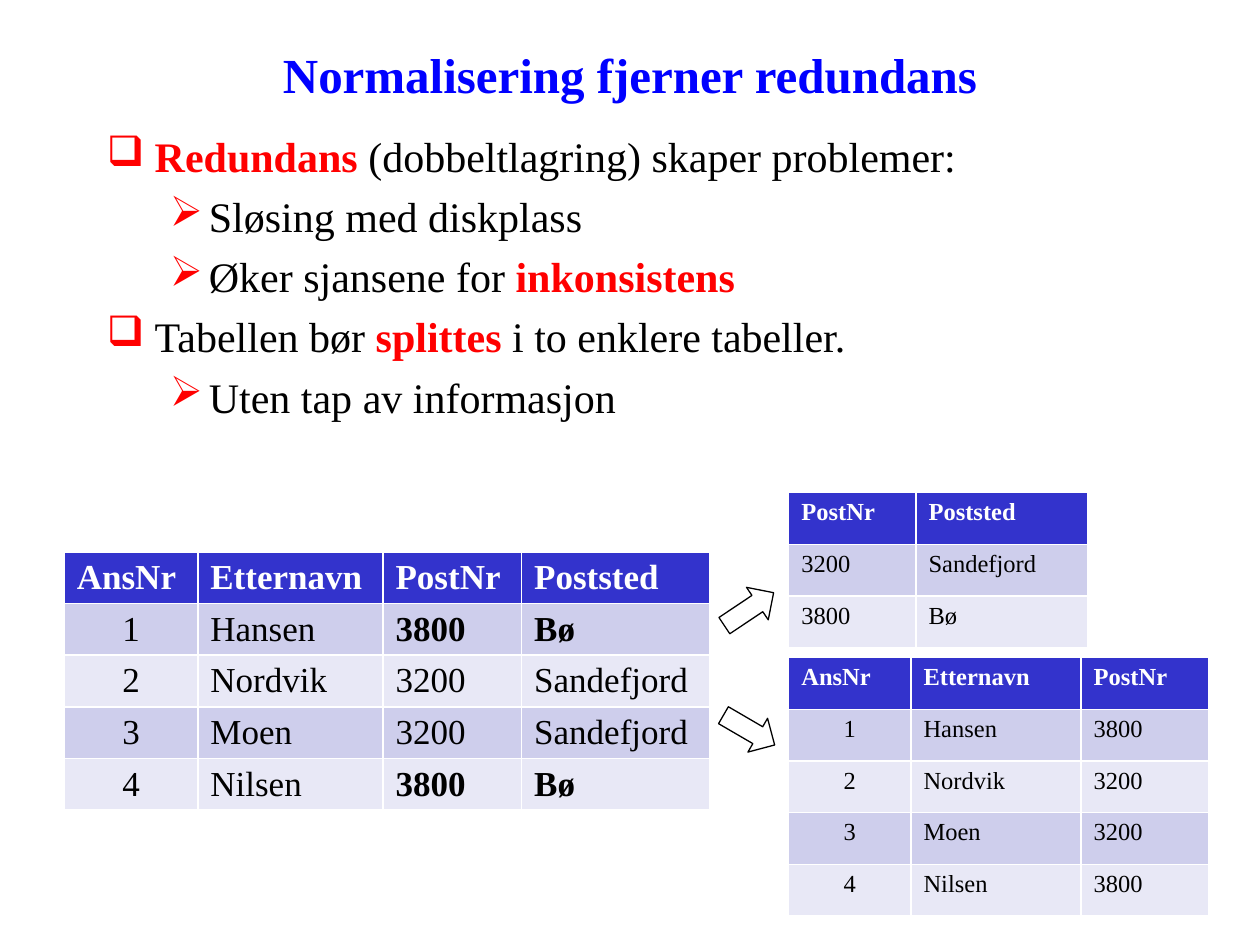
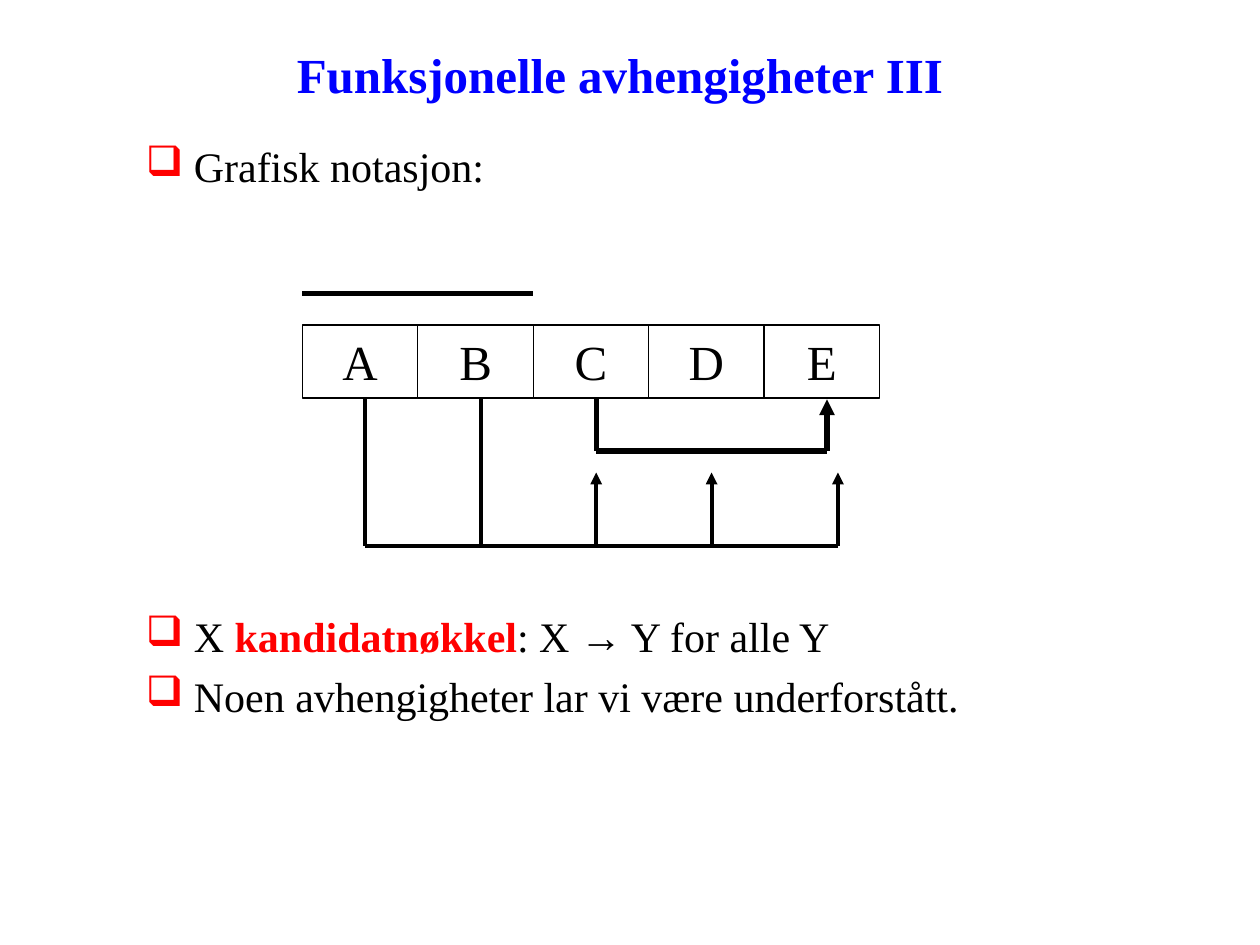
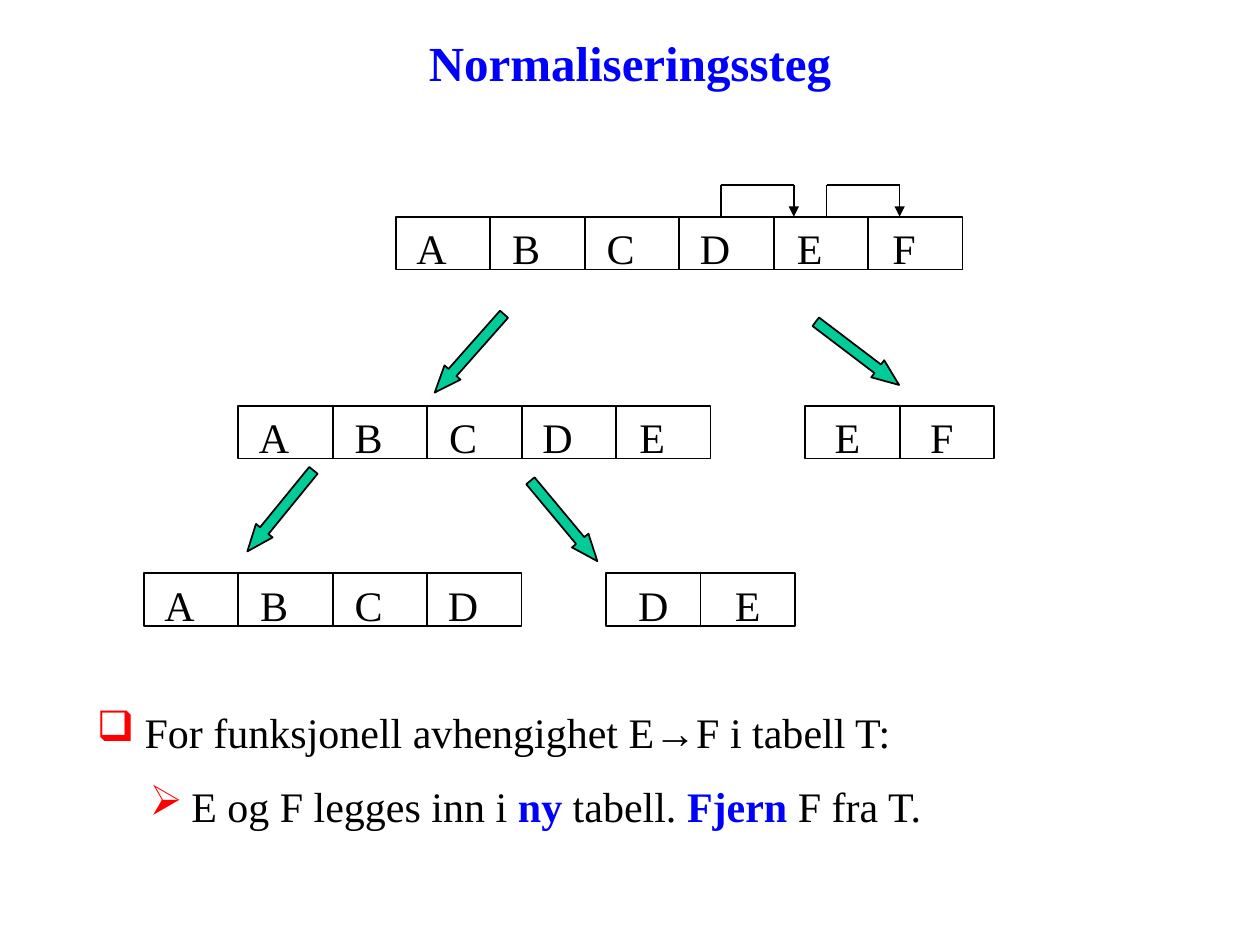
from lxml import etree
from pptx import Presentation
from pptx.dml.color import RGBColor
from pptx.enum.shapes import MSO_CONNECTOR, MSO_SHAPE
from pptx.enum.text import MSO_ANCHOR, MSO_AUTO_SIZE, PP_ALIGN
from pptx.oxml.ns import qn
from pptx.util import Inches, Pt

RECT, ARROW = MSO_SHAPE.RECTANGLE, MSO_SHAPE.RIGHT_ARROW
LINE = MSO_CONNECTOR.STRAIGHT
TOP, MIDDLE = MSO_ANCHOR.TOP, MSO_ANCHOR.MIDDLE
LEFT, CENTER = PP_ALIGN.LEFT, PP_ALIGN.CENTER
FIXED = MSO_AUTO_SIZE.NONE

FONT = "Times New Roman"
BLACK, WHITE, BLUE, RED = "000000", "FFFFFF", "0000FF", "FF0000"
GREEN, HEAD = "00CC99", "3333CC"
BANDS = ["CECEEC", "E8E8F6"]
MARKS = "❑➢"
FRAME = {"word_wrap": True, "auto_size": FIXED}


def hue(code):
    return RGBColor.from_string(code)


def apply(thing, values):
    for name, value in values.items():
        setattr(thing, name, value)


def inch(*sizes):
    return [Inches(size) for size in sizes]


def write(para, text, size, color=BLACK, bold=False):
    run = para.add_run()
    run.text = text
    apply(run.font, {"name": FONT, "size": Pt(size), "bold": bold})
    run.font.color.rgb = hue(color)


def start(deck, title, box):
    slide = deck.slides.add_slide(deck.slide_layouts[5])
    shape = slide.shapes.title
    apply(shape, dict(zip(("left", "top", "width", "height"), inch(*box))))
    apply(shape.text_frame, {**FRAME, "vertical_anchor": MIDDLE})
    para = shape.text_frame.paragraphs[0]
    para.alignment = CENTER
    write(para, title, 28, BLUE, True)
    return slide


def bullet(para, level, dent):
    margin, hang = dent
    props = para._p.get_or_add_pPr()
    props.set("marL", str(Inches(margin)))
    props.set("indent", str(-Inches(hang)))
    tint = etree.SubElement(props, qn("a:buClr"))
    etree.SubElement(tint, qn("a:srgbClr")).set("val", RED)
    etree.SubElement(props, qn("a:buChar")).set("char", MARKS[level])


def points(slide, box, items, inner=(0.81, 0.31), gap=5.5, accent=RED):
    frame = slide.shapes.add_textbox(*inch(*box)).text_frame
    apply(frame, FRAME)
    for index, (level, text) in enumerate(items):
        para = frame.add_paragraph() if index else frame.paragraphs[0]
        apply(para, {"level": level, "space_before": Pt(gap if index else 0)})
        bullet(para, level, inner if level else (0.38, 0.38))
        for turn, part in enumerate(text.split("*")):
            if part:
                write(para, part, 24, accent if turn % 2 else BLACK, turn % 2 == 1)


def solid(slide, kind, box, fill=None, weight=1.0, turn=0):
    shape = slide.shapes.add_shape(kind, *inch(*box))
    shape.shadow.inherit = False
    shape.rotation = turn
    if fill:
        shape.fill.solid()
        shape.fill.fore_color.rgb = hue(fill)
    else:
        shape.fill.background()
    shape.line.color.rgb = hue(BLACK)
    shape.line.width = Pt(weight)
    return shape


def cells(slide, box, names, size, weight, slack=0):
    left, top, width, height = box
    step = width / len(names)
    for index, name in enumerate(names):
        shape = solid(slide, RECT, (left + index * step, top, step, height), weight=weight)
        frame = shape.text_frame
        apply(frame, {**FRAME, "vertical_anchor": TOP, "margin_left": 0,
                      "margin_right": Inches(slack)})
        para = frame.paragraphs[0]
        para.alignment = CENTER
        write(para, name, size)


def route(slide, origin, stops, weight, arrow=True):
    spots = [(origin[0] + x, origin[1] + y) for x, y in stops]
    for here, there in zip(spots, spots[1:]):
        line = slide.shapes.add_connector(LINE, *inch(*here, *there))
        line.line.color.rgb = hue(BLACK)
        line.line.width = Pt(weight)
        etree.SubElement(line._element.spPr, qn("a:effectLst"))
    if arrow:
        tip = etree.SubElement(line.line._get_or_add_ln(), qn("a:tailEnd"))
        tip.set("type", "triangle")


def grid(slide, spot, widths, rows, size, strong=()):
    tall = 0.41
    box = (*spot, sum(widths), tall * len(rows))
    table = slide.shapes.add_table(len(rows), len(widths), *inch(*box)).table
    for column, width in zip(table.columns, widths):
        column.width = Inches(width)
    for down, row in enumerate(rows):
        table.rows[down].height = Inches(tall)
        for across, text in enumerate(row):
            cell = table.cell(down, across)
            cell.fill.solid()
            cell.fill.fore_color.rgb = hue(BANDS[(down - 1) % 2] if down else HEAD)
            para = cell.text_frame.paragraphs[0]
            para.alignment = CENTER if len(text) == 1 else LEFT
            write(para, text, size, BLACK if down else WHITE, not down or text in strong)


def split(deck):
    slide = start(deck, "Normalisering fjerner redundans", (0.75, 0.21, 8.5, 0.75))
    points(slide, (0.75, 0.99, 8.5, 2.6), [
        (0, "*Redundans* (dobbeltlagring) skaper problemer:"),
        (1, "Sløsing med diskplass"),
        (1, "Øker sjansene for *inkonsistens*"),
        (0, "Tabellen bør *splittes* i to enklere tabeller."),
        (1, "Uten tap av informasjon"),
    ])
    towns = {"3200": "Sandefjord", "3800": "Bø"}
    people = [("AnsNr", "Etternavn", "PostNr"), ("1", "Hansen", "3800"),
              ("2", "Nordvik", "3200"), ("3", "Moen", "3200"), ("4", "Nilsen", "3800")]
    full = [(*row, towns.get(row[2], "Poststed")) for row in people]
    grid(slide, (0.51, 4.38), (1.06, 1.47, 1.1, 1.49), full, 20, ("3800", "Bø"))
    grid(slide, (6.26, 5.22), (0.97, 1.35, 1.01), people, 14)
    grid(slide, (6.26, 3.91), (1.01, 1.36), [("PostNr", "Poststed"), *towns.items()], 14)
    for top, turn in ((4.68, 326.2), (5.64, 30.2)):
        solid(slide, ARROW, (5.71, top, 0.47, 0.31), weight=0.75, turn=turn)


def links(slide, box):
    left, top, width, height = box
    step = width / 5
    first, second, third, fourth, fifth = [0.5 + step * index for index in range(5)]
    end, base, high, low = 4.25, 0.84, 1.25, 2
    cells(slide, (left, top + 0.25, width, 0.58), "ABCDE", 28, 0.75)
    plain = [
        ([(0, 0), (2 * step, 0)], 3),
        ([(first, base), (first, low), (end, low)], 2.25),
        ([(second, base), (second, low)], 2.25),
    ]
    for stops, weight in plain:
        route(slide, (left, top), stops, weight, False)
    route(slide, (left, top), [(third, base), (third, high), (fifth, high), (fifth, base)], 3)
    for x in (third, fourth, end):
        route(slide, (left, top), [(x, low), (x, height)], 2.25)


def graph(deck):
    slide = start(deck, "Funksjonelle avhengigheter III", (0.98, 0.31, 7.88, 0.55))
    points(slide, (1.06, 1.07, 8.11, 0.6), [(0, "Grafisk notasjon:")])
    links(slide, (2.4, 2.33, 4.58, 1.42))
    points(slide, (1.06, 4.8, 8.11, 1.1), [
        (0, "X *kandidatnøkkel*: X → Y for alle Y"),
        (0, "Noen avhengigheter lar vi være underforstått."),
    ])


def tree(slide, left, top):
    rows = [("ABCDEF", 2, 0.25, 0.18), ("ABCDE", 0.75, 1.75, 0.18), ("EF", 5.25, 1.75, 0.08),
            ("ABCD", 0, 3.08, 0.18), ("DE", 3.67, 3.08, 0)]
    for names, x, y, slack in rows:
        cells(slide, (left + x, top + y, 0.75 * len(names), 0.42), names, 24, 1, slack)
    arrows = [(2.17, 1.25, 131.5), (5.25, 1.25, 37.2), (0.67, 2.5, 129.2), (2.92, 2.58, 50.2)]
    for x, y, turn in arrows:
        shape = solid(slide, ARROW, (left + x, top + y, 0.83, 0.17), GREEN, turn=turn)
        shape.adjustments[1] = 1.25
    for x in (4.58, 5.42):
        end = x + 0.58
        route(slide, (left, top), [(x, 0.25), (x, 0), (end, 0), (end, 0.25)], 1)


def steps(deck):
    slide = start(deck, "Normaliseringssteg", (0.75, 0.21, 8.5, 0.57))
    tree(slide, 1.14, 1.47)
    points(slide, (0.67, 5.56, 8.5, 1.11), [
        (0, "For funksjonell avhengighet E→F i tabell T:"),
        (1, "E og F legges inn i *ny* tabell. *Fjern* F fra T."),
    ], (0.75, 0.33), 13.5, BLUE)


def main():
    deck = Presentation()
    apply(deck, {"slide_width": Inches(10), "slide_height": Inches(7.5)})
    for build in (split, graph, steps):
        build(deck)
    deck.save("out.pptx")


if __name__ == "__main__":
    main()
